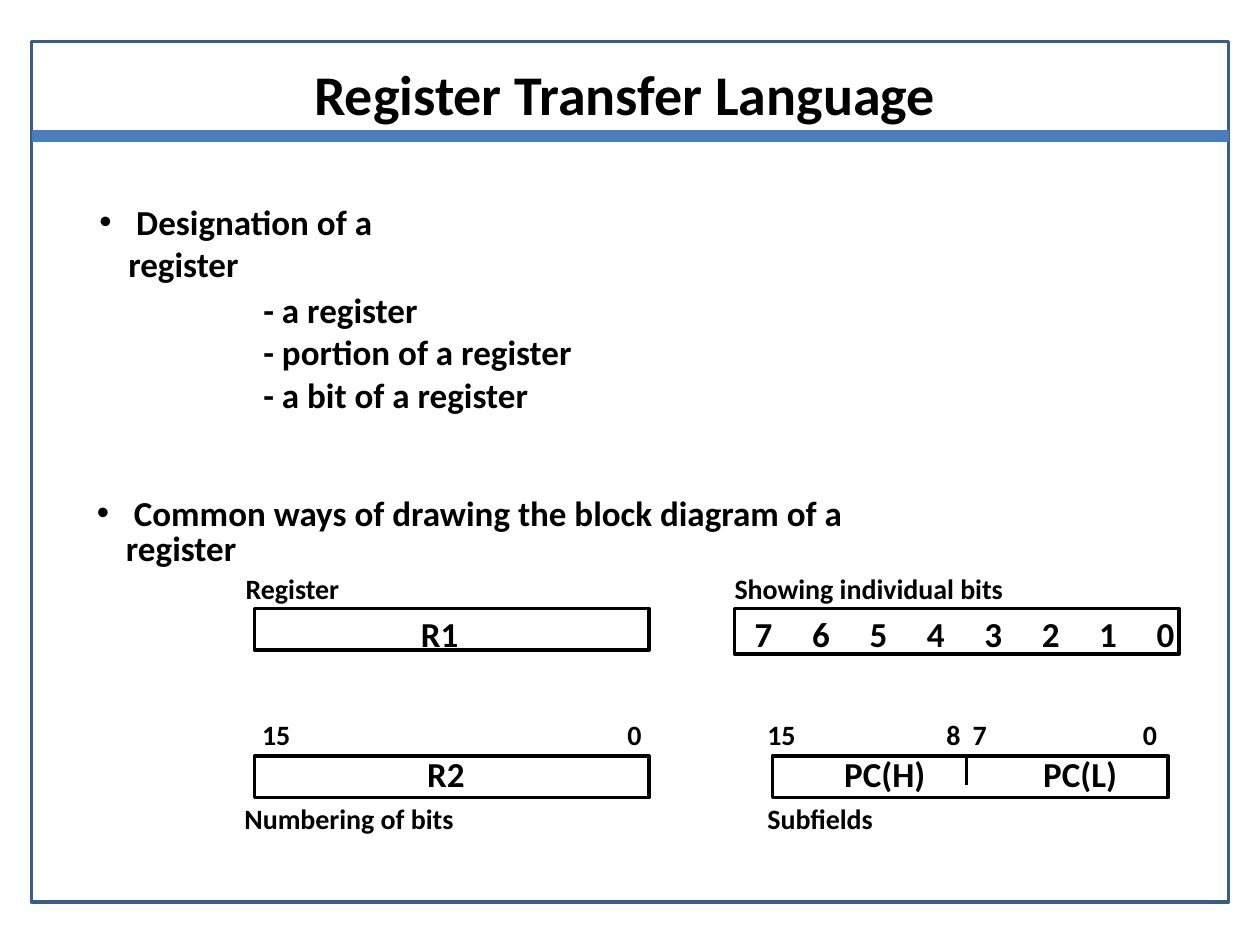
import pptx
import pptx.dml.color
import pptx.enum.shapes
import pptx.enum.text
import pptx.oxml
import pptx.oxml.ns
import pptx.util
from pptx.util import Inches

FONT = "Calibri"
BLACK = "000000"
NAME_SIZE, NOTE_SIZE = 20, 16
BIT_PITCH = 3.19 / 7


def color(value):
    return pptx.dml.color.RGBColor.from_string(value)


def add_element(parent, tag, **attributes):
    element = pptx.oxml.parse_xml(f"<{tag} {pptx.oxml.ns.nsdecls('a')}/>")
    for name, value in attributes.items():
        element.set(name, str(value))
    parent.append(element)
    return element


def add_outline(page, left, top, width, height, line_color):
    box = page.shapes.add_shape(
        pptx.enum.shapes.MSO_SHAPE.RECTANGLE,
        Inches(left), Inches(top), Inches(width), Inches(height))
    box.shadow.inherit = False
    box.fill.background()
    box.line.color.rgb = color(line_color)
    box.line.width = pptx.util.Pt(2)


def add_line(page, start, end, line_color, weight):
    line = page.shapes.add_connector(
        pptx.enum.shapes.MSO_CONNECTOR.STRAIGHT,
        *(Inches(value) for value in start + end))
    line.line.color.rgb = color(line_color)
    line.line.width = pptx.util.Pt(weight)
    add_element(line._element.spPr, "a:effectLst")


def add_text(page, left, top, width, height, lines, size, wrap=False,
             inset=(0.07, 0.03), spacing=None, align=None, margin=0,
             bullet=False, tab_pitch=None):
    box = page.shapes.add_textbox(
        Inches(left), Inches(top), Inches(width), Inches(height))
    frame = box.text_frame
    frame.word_wrap = wrap
    frame.margin_left = Inches(inset[0])
    # Single-line labels use the full width so that they stay on one line
    frame.margin_right = Inches(inset[0] if wrap else 0)
    frame.margin_top = frame.margin_bottom = Inches(inset[1])
    for index, line in enumerate(lines):
        para = frame.paragraphs[0] if index == 0 else frame.add_paragraph()
        if align is not None:
            para.alignment = align
        if spacing:
            para.line_spacing = spacing
        properties = para._p.get_or_add_pPr()
        if margin:
            properties.set("marL", str(Inches(margin)))
        if bullet:
            properties.set("indent", str(-Inches(margin)))
            tint = add_element(properties, "a:buClr")
            add_element(tint, "a:srgbClr", val=BLACK)
            add_element(properties, "a:buFont", typeface="Arial")
            add_element(properties, "a:buChar", char="•")
        if tab_pitch:
            tabs = add_element(properties, "a:tabLst")
            for stop in range(1, line.count("\t") + 1):
                add_element(tabs, "a:tab", pos=Inches(stop * tab_pitch), algn="l")
        span = para.add_run()
        span.text = line
        span.font.name = FONT
        span.font.size = pptx.util.Pt(size)
        span.font.bold = True
        span.font.color.rgb = color(BLACK)


def add_header(page, left, top, width, height):
    """Page frame, title and the rule under the title."""
    add_outline(page, left, top, width, height, "385D8A")
    rule = top + 0.75
    add_line(page, (left, rule), (left + width, rule), "4A7EBB", 6.75)
    add_text(page, left + 0.5, top + 0.09, 8.42, 0.64,
             ["Register Transfer Language"], 32, wrap=True, inset=(0.1, 0.05),
             align=pptx.enum.text.PP_ALIGN.CENTER)


def add_points(page, left, top):
    """Two bullets, the first with its list of cases."""
    add_text(page, left, top, 3.23, 0.43, [" Designation of a register"],
             NAME_SIZE, wrap=True, inset=(0.1, 0.05), margin=0.23, bullet=True)
    add_text(page, left + 1.2, top + 0.71, 2.72, 1.42,
             ["- a register", "- portion of a register", "- a bit of a register"],
             NAME_SIZE, spacing=1.02, margin=0.13)
    add_text(page, left + 0.01, top + 2.38, 6.94, 0.34,
             [" Common ways of drawing the block diagram of a register"],
             NAME_SIZE, wrap=True, spacing=0.85, margin=0.23, bullet=True)


def add_register(page, left, top, width, height, names, notes):
    """One register; names and notes are (text, x, y, width) from its corner."""
    add_outline(page, left, top, width, height, BLACK)
    for text, x, y, text_width in names:
        add_text(page, left + x, top + y, text_width, 0.39, [text], NAME_SIZE,
                 tab_pitch=BIT_PITCH if "\t" in text else None)
    for text, x, y, text_width in notes:
        add_text(page, left + x, top + y, text_width, 0.31, [text], NOTE_SIZE,
                 spacing=0.97)


def add_diagrams(page, left, top):
    """Four ways of drawing a register, in two rows."""
    lower = top + 1.17
    bits = "\t".join(str(bit) for bit in reversed(range(8)))
    add_register(page, left, top, 3.13, 0.33,
                 [("R1", 1.25, 0, 0.44)],
                 [("Register", -0.14, -0.31, 0.94)])
    add_register(page, left + 3.81, top, 3.53, 0.36,
                 [(bits, 0.09, 0, 3.47)],
                 [("Showing individual bits", -0.07, -0.31, 2.27)])
    add_register(page, left, lower, 3.13, 0.33,
                 [("R2", 1.3, -0.06, 0.44)],
                 [("15", -0.01, -0.32, 0.36), ("0", 2.89, -0.32, 0.25),
                  ("Numbering of bits", -0.15, 0.35, 1.8)])
    add_register(page, left + 4.11, lower, 3.14, 0.33,
                 [("PC(H)", 0.5, -0.06, 0.78), ("PC(L)", 2.08, -0.06, 0.73)],
                 [("15", -0.11, -0.32, 0.36), ("8", 1.31, -0.32, 0.25),
                  ("7", 1.52, -0.32, 0.25), ("0", 2.87, -0.32, 0.25),
                  ("Subfields", -0.11, 0.35, 0.98)])
    # Divider between the high and low halves
    divider = left + 5.65
    add_line(page, (divider, lower), (divider, lower + 0.23), BLACK, 2)


def main():
    deck = pptx.Presentation()
    deck.slide_width, deck.slide_height = Inches(10), Inches(7.5)
    page = deck.slides.add_slide(deck.slide_layouts[6])
    add_header(page, 0.25, 0.33, 9.5, 6.83)
    add_points(page, 0.69, 1.54)
    add_diagrams(page, 2.02, 4.83)
    deck.save("out.pptx")


if __name__ == "__main__":
    main()
